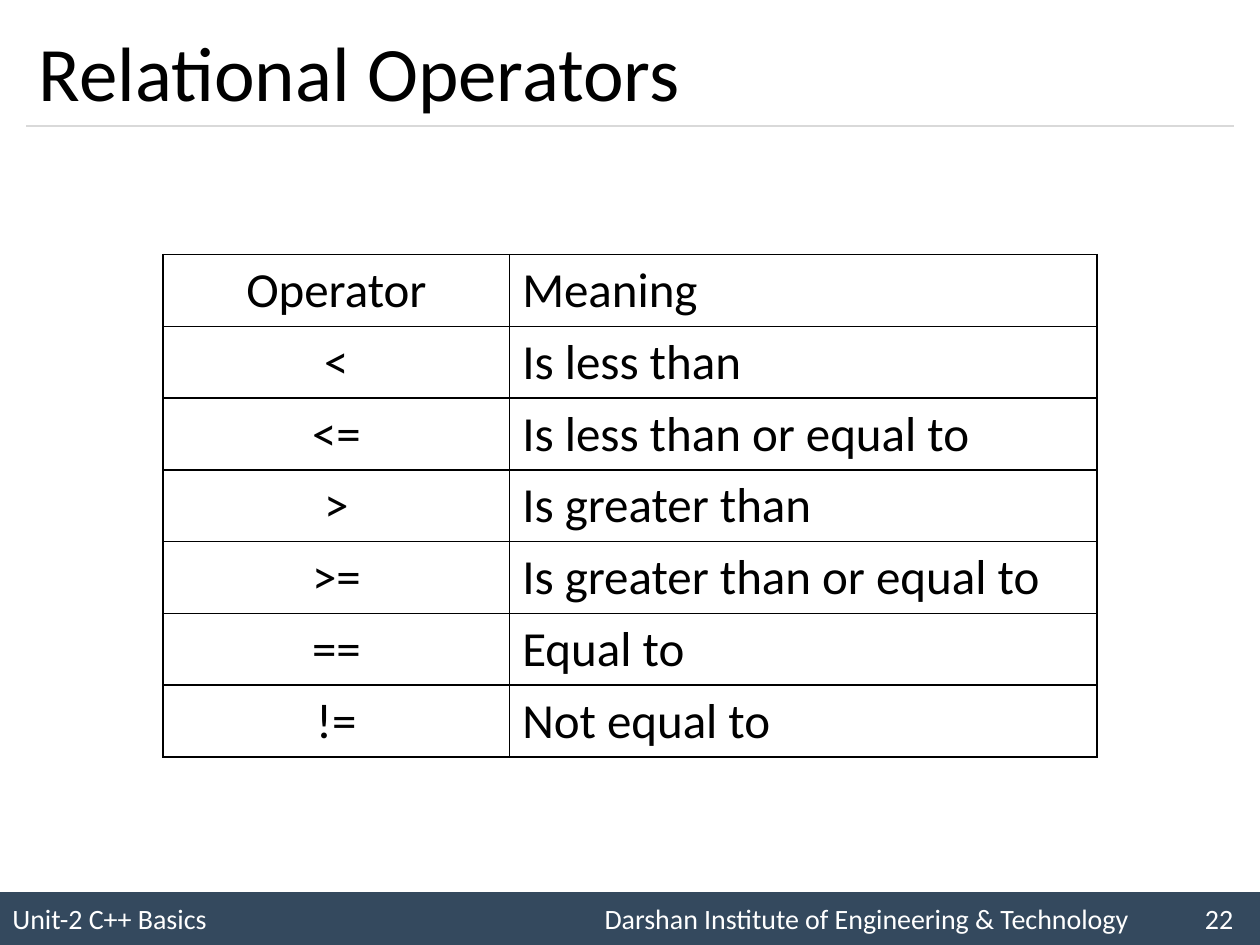
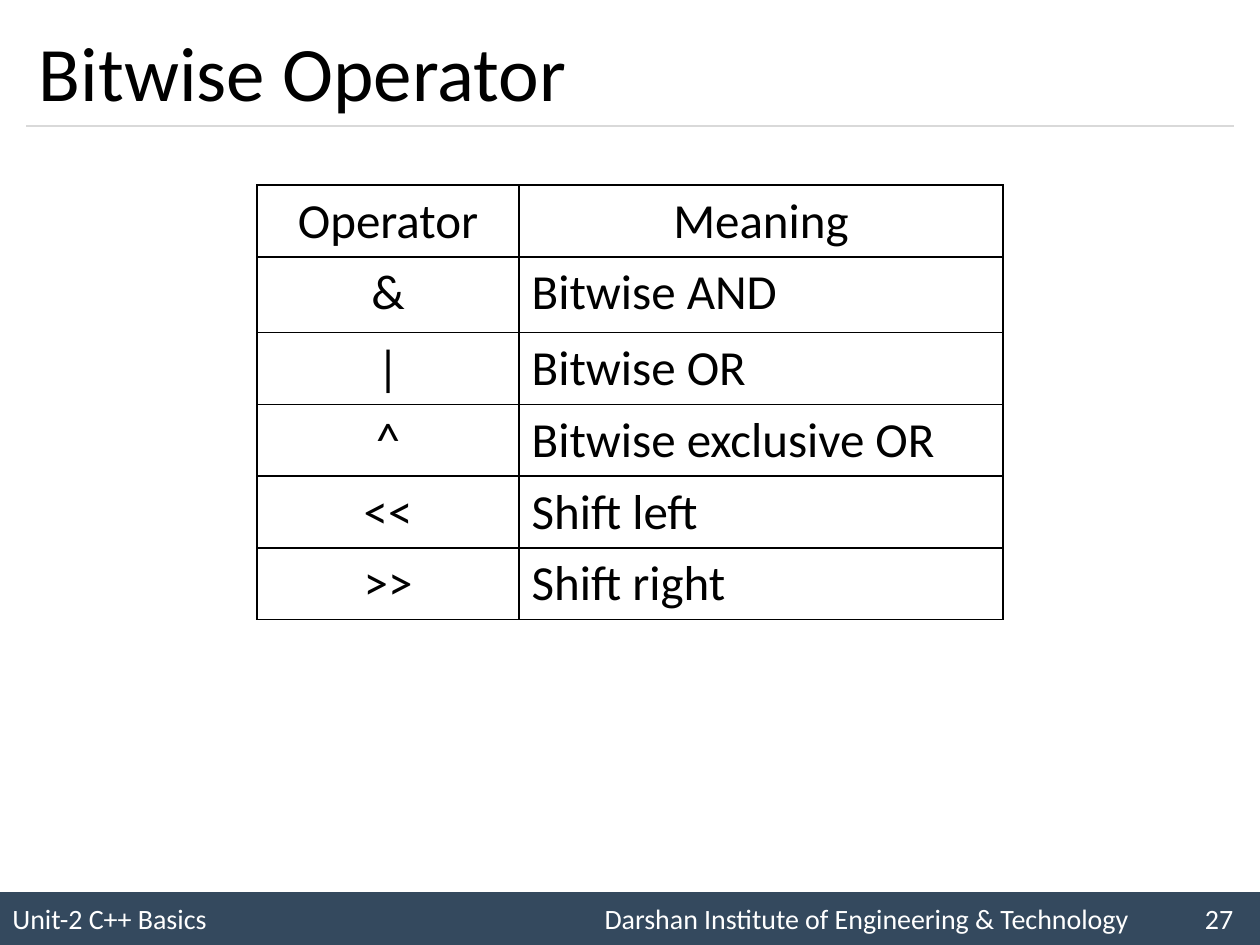
import pptx
import pptx.dml.color
import pptx.enum.shapes
import pptx.enum.text
import pptx.oxml.ns
import pptx.util
from lxml import etree

Inches = pptx.util.Inches
Pt = pptx.util.Pt
ALIGN = pptx.enum.text.PP_ALIGN
ANCHOR = pptx.enum.text.MSO_ANCHOR

COLORS = {"band": "34495E", "rule": "D9D9D9", "text": "000000",
          "light": "FFFFFF", "border": "000000"}
FONT = "Calibri"
WIDTH, HEIGHT = 10, 7.5
MARGIN = 0.21
ROW_HEIGHT = 0.57
FOOTER = ("Unit-2 C++ Basics", "Darshan Institute of Engineering & Technology")
FOOTER_TABS = ((4.7, "l"), (9.69, "r"))

RELATIONAL = [
    ("Operator", "Meaning"),
    ("<", "Is less than"),
    ("<=", "Is less than or equal to"),
    (">", "Is greater than"),
    (">=", "Is greater than or equal to"),
    ("==", "Equal to"),
    ("!=", "Not equal to"),
]
BITWISE = [
    ("Operator", "Meaning"),
    ("&", "Bitwise AND"),
    ("|", "Bitwise OR"),
    ("^", "Bitwise exclusive OR"),
    ("<<", "Shift left"),
    (">>", "Shift right"),
]


def rgb(name):
    return pptx.dml.color.RGBColor.from_string(COLORS[name])


def add_xml(parent, tag, **attrs):
    return etree.SubElement(parent, pptx.oxml.ns.qn(tag), attrs)


class Deck:
    def __init__(self):
        self.prs = pptx.Presentation()
        self.prs.slide_width = Inches(WIDTH)
        self.prs.slide_height = Inches(HEIGHT)
        self.s = None

    def slide(self, title, number):
        self.s = self.prs.slides.add_slide(self.prs.slide_layouts[6])
        self.footer(number)
        self.rule(1)
        self.title(title)

    def set_text(self, tf, text, size, color="text", align=ALIGN.LEFT, tabs=()):
        p = tf.paragraphs[0]
        p.text = text
        p.alignment = align
        if tabs:
            tab_list = add_xml(p._p.get_or_add_pPr(), "a:tabLst")
            for pos, side in tabs:
                add_xml(tab_list, "a:tab", pos=str(Inches(pos)), algn=side)
        font = p.runs[0].font
        for key, value in {"name": FONT, "size": Pt(size), "bold": False}.items():
            setattr(font, key, value)
        font.color.rgb = rgb(color)

    def footer(self, number):
        sp = self.s.shapes.add_shape(
            pptx.enum.shapes.MSO_SHAPE.RECTANGLE,
            Inches(0), Inches(7.08), Inches(WIDTH), Inches(0.42))
        sp.shadow.inherit = False
        sp.fill.solid()
        sp.fill.fore_color.rgb = rgb("band")
        sp.line.fill.background()
        sp.text_frame.vertical_anchor = ANCHOR.MIDDLE
        self.set_text(sp.text_frame, "\t".join((*FOOTER, str(number))), 16,
                      "light", tabs=FOOTER_TABS)

    def rule(self, y):
        line = self.s.shapes.add_connector(
            pptx.enum.shapes.MSO_CONNECTOR.STRAIGHT,
            Inches(MARGIN), Inches(y), Inches(WIDTH - MARGIN), Inches(y))
        line.line.color.rgb = rgb("rule")
        line.line.width = Pt(0.75)
        add_xml(line._element.spPr, "a:effectLst")

    def title(self, text):
        sp = self.s.shapes.add_textbox(
            Inches(MARGIN), Inches(0.12), Inches(WIDTH - 2 * MARGIN), Inches(0.88))
        tf = sp.text_frame
        for key, value in {"word_wrap": True,
                           "vertical_anchor": ANCHOR.MIDDLE}.items():
            setattr(tf, key, value)
        self.set_text(tf, text, 44)

    def borders(self, cell):
        tc_pr = cell._tc.get_or_add_tcPr()
        for side in "LRTB":
            ln = add_xml(tc_pr, f"a:ln{side}", w=str(Pt(1)))
            fill = add_xml(ln, "a:solidFill")
            add_xml(fill, "a:srgbClr", val=COLORS["border"])

    def table(self, rows, top, widths, header_align=ALIGN.LEFT, tall_rows=None):
        """Centre a table on the slide; tall_rows maps row index to height."""
        width = sum(widths)
        frame = self.s.shapes.add_table(
            len(rows), len(widths), Inches((WIDTH - width) / 2), Inches(top),
            Inches(width), Inches(ROW_HEIGHT * len(rows)))
        table = frame.table
        table.first_row = table.horz_banding = False
        for column, w in zip(table.columns, widths):
            column.width = Inches(w)
        for i, row in enumerate(rows):
            table.rows[i].height = Inches((tall_rows or {}).get(i, ROW_HEIGHT))
            meaning_align = ALIGN.LEFT if i else header_align
            for j, align in enumerate((ALIGN.CENTER, meaning_align)):
                cell = table.cell(i, j)
                self.borders(cell)
                cell.fill.background()
                self.set_text(cell.text_frame, row[j], 28, align=align)


def main():
    deck = Deck()
    deck.slide("Relational Operators", 22)
    deck.table(RELATIONAL, 2.02, (2.75, 4.66))
    deck.slide("Bitwise Operator", 27)
    deck.table(BITWISE, 1.47, (2.08, 3.84), ALIGN.CENTER, {1: 0.6})
    deck.prs.save("out.pptx")


if __name__ == "__main__":
    main()
